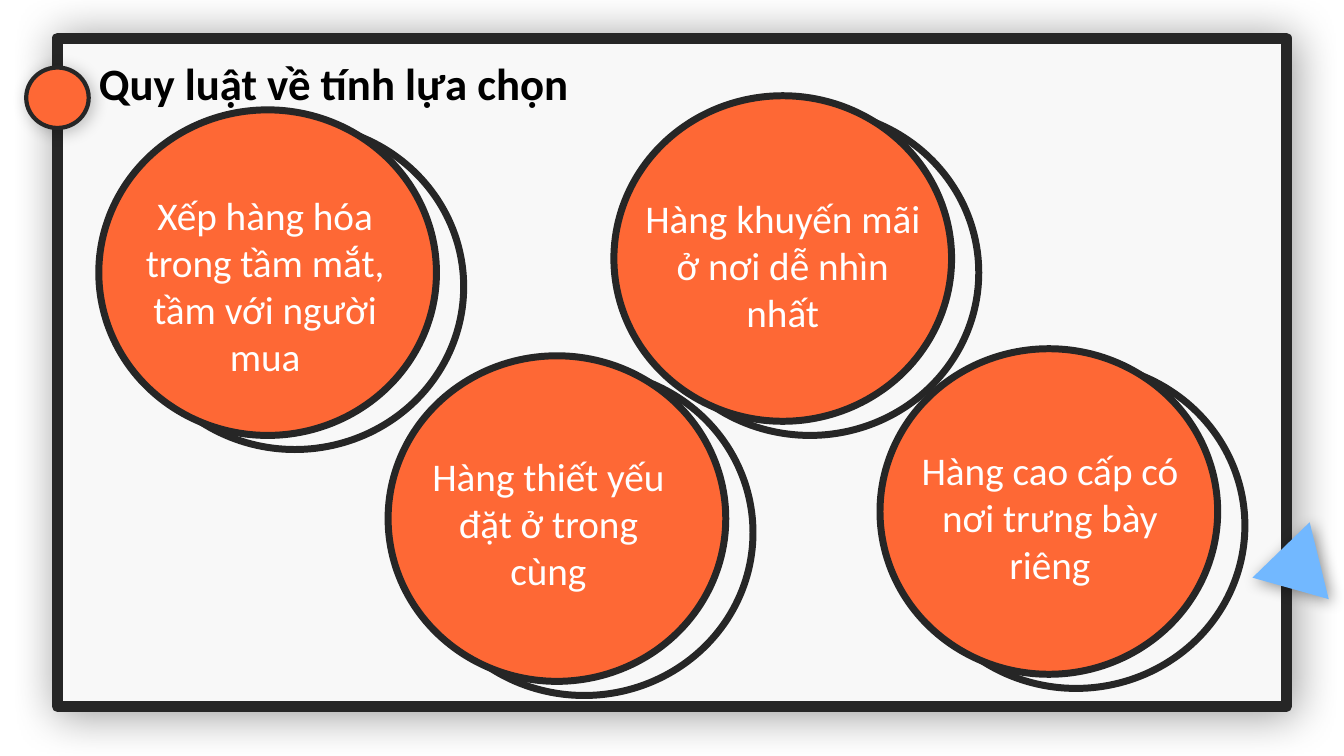
from lxml.etree import SubElement
from pptx import Presentation
from pptx.dml.color import RGBColor
from pptx.enum.shapes import MSO_SHAPE
from pptx.enum.text import MSO_ANCHOR, MSO_AUTO_SIZE, PP_ALIGN
from pptx.oxml.ns import qn
from pptx.util import Inches, Pt

CELL = 0.1  # side of one grid cell, in inches
COLUMNS, ROWS = 133.33, 75
INK, PAPER, ORANGE, BLUE = "262626", "F8F8F8", "FE6835", "72B8FF"
DISC_SIZE = (33.5, 32.3)
RING_SHIFT = (2.7, 1.4)


def color(hex_value):
    return RGBColor.from_string(hex_value)


def cells(*counts):
    return [Inches(count * CELL) for count in counts]


class SlideBuilder:
    """Holds the text style and the slide being built."""

    text_style = {"name": "Calibri", "size": Pt(28), "bold": False}
    title_style = {"name": "Calibri", "size": Pt(32), "bold": True}

    def __init__(self, presentation):
        self.slide = presentation.slides.add_slide(presentation.slide_layouts[5])

    def shape(self, kind, box, fill, line_width=0, shadow=None, rotation=0, parent=None):
        shapes = (parent or self.slide).shapes
        shape = shapes.add_shape(kind, *cells(*box))
        shape.rotation = rotation
        shape.fill.solid()
        shape.fill.fore_color.rgb = color(fill)
        if line_width:
            shape.line.color.rgb = color(INK)
            shape.line.width = Pt(line_width)
        else:
            shape.line.fill.background()
        shape.shadow.inherit = False
        if shadow:
            self.shadow(shape, *shadow)
        return shape

    def shadow(self, shape, opacity, blur, distance=3, angle=45):
        effects = shape._element.spPr.find(qn("a:effectLst"))
        outer = SubElement(effects, qn("a:outerShdw"), blurRad=str(Pt(blur)),
                           dist=str(Pt(distance)), dir=str(angle * 60000),
                           algn="ctr", rotWithShape="0")
        black = SubElement(outer, qn("a:srgbClr"), val="000000")
        SubElement(black, qn("a:alpha"), val=str(opacity * 1000))

    def set_text(self, shape, box, text, style, text_color, alignment):
        shape.left, shape.top, shape.width, shape.height = cells(*box)
        frame = shape.text_frame
        frame.text = text
        frame_format = {"word_wrap": True, "vertical_anchor": MSO_ANCHOR.TOP,
                        "auto_size": MSO_AUTO_SIZE.SHAPE_TO_FIT_TEXT}
        for name, value in frame_format.items():
            setattr(frame, name, value)
        paragraph = frame.paragraphs[0]
        paragraph.alignment = alignment
        font = paragraph.runs[0].font
        for name, value in style.items():
            setattr(font, name, value)
        font.color.rgb = color(text_color)

    def title(self, box, text):
        title = self.slide.shapes.title
        self.slide.shapes._spTree.append(title._element)  # bring in front of the frame
        self.set_text(title, box, text, self.title_style, "000000", PP_ALIGN.LEFT)

    def label(self, box, text):
        text_box = self.slide.shapes.add_textbox(*cells(*box))
        self.set_text(text_box, box, text, self.text_style, "FFFFFF", PP_ALIGN.CENTER)

    def disc(self, left, top):
        group = self.slide.shapes.add_group_shape()
        ring = (left + RING_SHIFT[0], top + RING_SHIFT[1])
        for corner, fill in ((ring, PAPER), ((left, top), ORANGE)):
            self.shape(MSO_SHAPE.OVAL, (*corner, *DISC_SIZE), fill, 5, parent=group)


def main():
    presentation = Presentation()
    presentation.slide_width, presentation.slide_height = cells(COLUMNS, ROWS)
    builder = SlideBuilder(presentation)

    # Frame and ornaments
    builder.shape(MSO_SHAPE.RECTANGLE, (5.7, 3.8, 121.9, 66.3), PAPER, 8, shadow=(40, 32))
    builder.shape(MSO_SHAPE.OVAL, (2.6, 6.7, 6.2, 6), ORANGE, 3, shadow=(23, 12))
    builder.shape(MSO_SHAPE.ISOSCELES_TRIANGLE, (125.5, 53.6, 7.9, 6.8), BLUE,
                  shadow=(40, 11), rotation=135.9)

    # Heading
    builder.title((8.8, 5, 59, 6.4), "Quy luật về tính lựa chọn")

    # Rules: disc corner, label box, wording
    rules = [
        ((9.8, 10.9), (12.1, 18.5, 28.4, 19.9),
         "Xếp hàng hóa trong tầm mắt, tầm với người mua"),
        ((38.5, 35.3), (41, 44.4, 26.8, 15.1), "Hàng thiết yếu đặt ở trong cùng"),
        ((60.9, 9.5), (62.2, 18.8, 30.9, 15.1), "Hàng khuyến mãi ở nơi dễ nhìn nhất"),
        ((87.3, 34.6), (88.7, 43.8, 30.9, 15.1), "Hàng cao cấp có nơi trưng bày riêng"),
    ]
    for corner, label_box, text in rules:
        builder.disc(*corner)
        builder.label(label_box, text)

    presentation.save("out.pptx")


if __name__ == "__main__":
    main()
